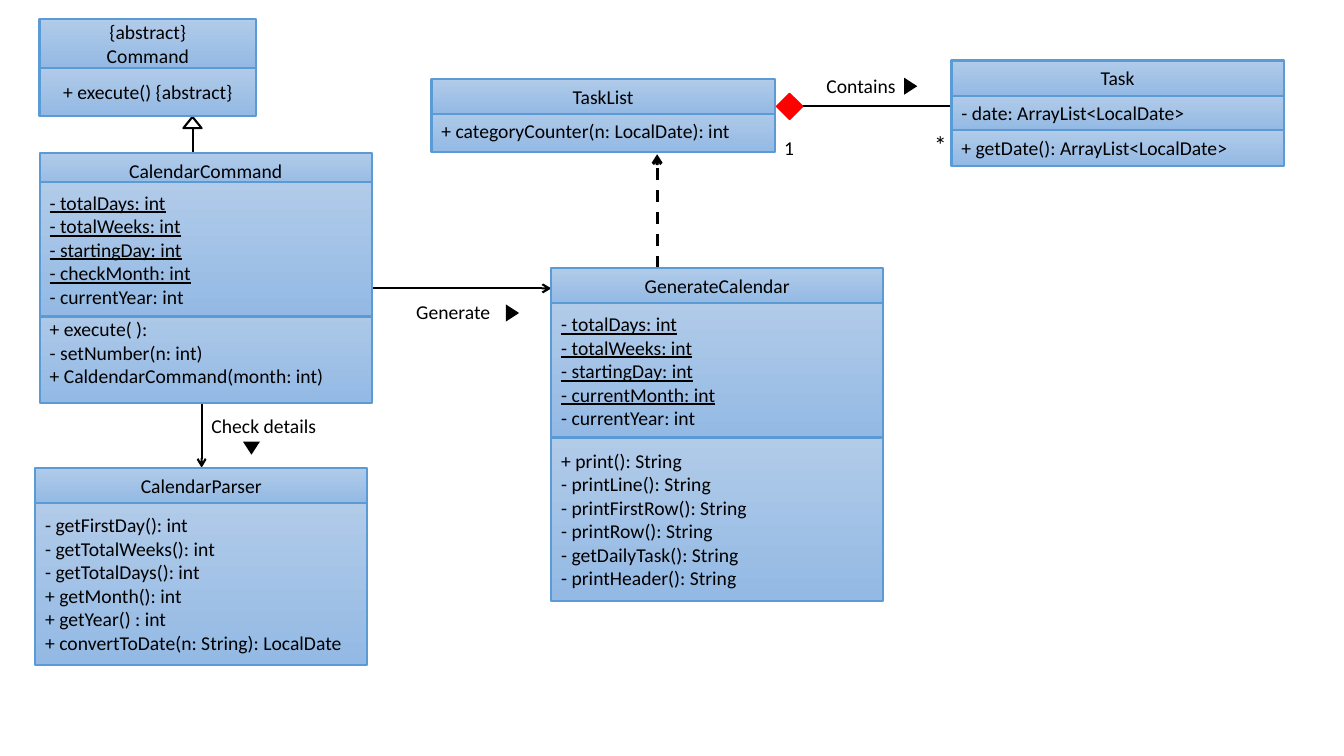
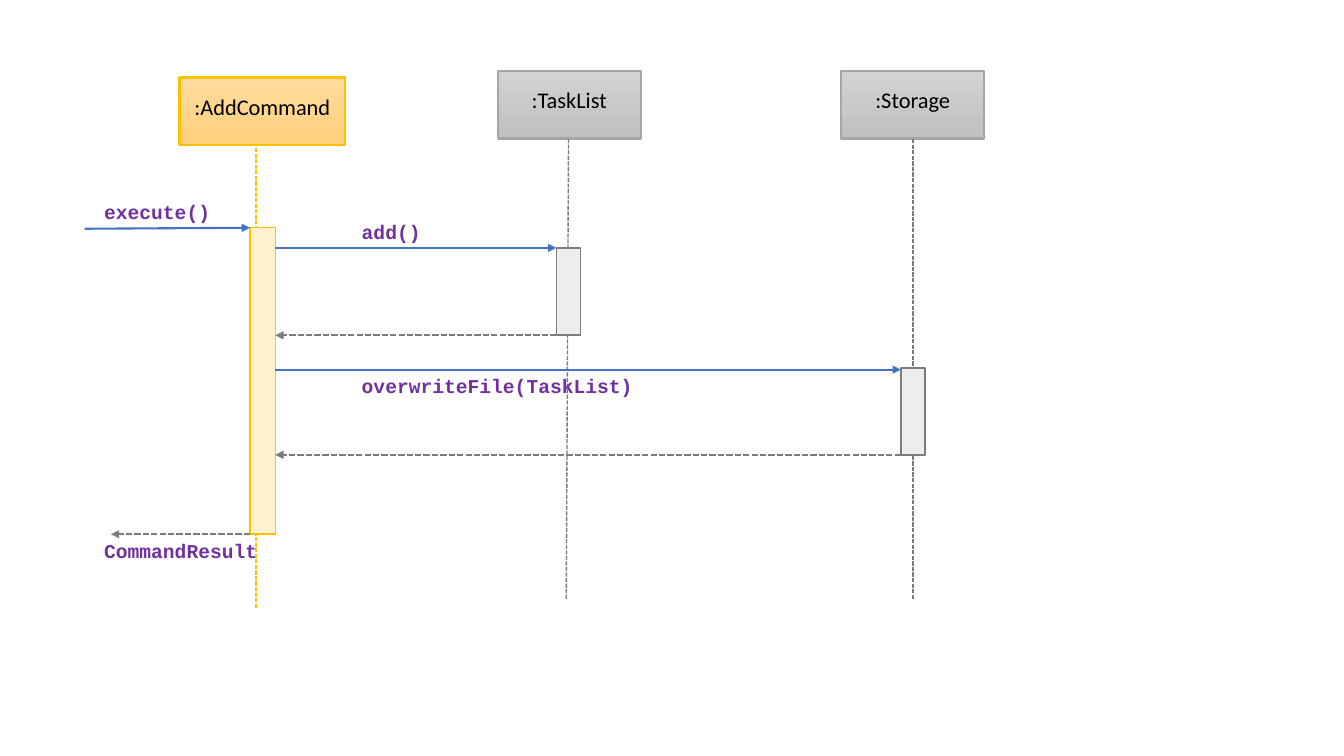
from dataclasses import dataclass
from pptx import Presentation
from pptx.dml.color import RGBColor
from pptx.enum.dml import MSO_LINE as DASH
from pptx.enum.shapes import MSO_CONNECTOR, MSO_SHAPE as SHAPE
from pptx.enum.text import MSO_ANCHOR as ANCHOR, PP_ALIGN as ALIGN
from pptx.oxml.ns import qn
from pptx.util import Pt
from lxml import etree

BLACK = RGBColor(0x00, 0x00, 0x00)
WHITE = RGBColor(0xFF, 0xFF, 0xFF)
RED = RGBColor(0xFF, 0x00, 0x00)
PURPLE = RGBColor(0x70, 0x30, 0xA0)
CALL_BLUE = RGBColor(0x44, 0x72, 0xC4)
DARK_GREY = RGBColor(0x7C, 0x7C, 0x7C)
PALE_GREY = RGBColor(0xED, 0xED, 0xED)
GOLD = RGBColor(0xFF, 0xC0, 0x00)
PALE_GOLD = RGBColor(0xFF, 0xF2, 0xCC)
GREY = RGBColor(0xA5, 0xA5, 0xA5)
BLUE = RGBColor(0x5B, 0x9B, 0xD5)
BLUE_FADE = (RGBColor(0xB1, 0xCB, 0xE9), RGBColor(0x93, 0xB9, 0xE4))
GOLD_FADE = (RGBColor(0xFF, 0xDB, 0x9E), RGBColor(0xFF, 0xD0, 0x7C))
GREY_FADE = (RGBColor(0xD2, 0xD2, 0xD2), RGBColor(0xC0, 0xC0, 0xC0))

BODY = {"name": "Calibri", "size": Pt(14), "color": BLACK}
STATIC = {**BODY, "underline": True}
STAR = {**BODY, "size": Pt(18)}
HEADING = {**BODY, "size": Pt(16)}
CODE = {"name": "Courier New", "size": Pt(14), "color": PURPLE, "bold": True}

CLASS_FRAME = {"vertical_anchor": ANCHOR.MIDDLE, "margin_left": Pt(7.2),
               "margin_right": Pt(7.2), "margin_top": Pt(3.6), "margin_bottom": Pt(3.6)}
HEADING_FRAME = {**CLASS_FRAME, "vertical_anchor": ANCHOR.TOP,
                 "margin_top": Pt(11), "margin_bottom": Pt(11)}
LABEL_FRAME = {**CLASS_FRAME, "vertical_anchor": ANCHOR.TOP}


@dataclass
class Row:
    top: float
    height: float
    lines: list
    align: ALIGN = ALIGN.LEFT
    statics: int = 0


def set_font(font, fmt):
    for key, value in fmt.items():
        if key == "color":
            font.color.rgb = value
        else:
            setattr(font, key, value)


def write(sp, lines, frame, fmt, align=ALIGN.LEFT, statics=0):
    tf = sp.text_frame
    tf.word_wrap = True
    for key, value in frame.items():
        setattr(tf, key, value)
    for i, line in enumerate(lines):
        p = tf.add_paragraph() if i else tf.paragraphs[0]
        p.alignment = align
        r = p.add_run()
        r.text = line
        set_font(r.font, STATIC if i < statics else fmt)


def add_block(s, kind, x, y, w, h, fill, line=None, weight=1.5, rotation=0):
    sp = s.shapes.add_shape(kind, Pt(x), Pt(y), Pt(w), Pt(h))
    sp.shadow.inherit = False
    sp.rotation = rotation
    if isinstance(fill, RGBColor):
        sp.fill.solid()
        sp.fill.fore_color.rgb = fill
    else:
        sp.fill.gradient()
        sp.fill.gradient_angle = 270
        for stop, color in zip(sp.fill.gradient_stops, fill):
            stop.color.rgb = color
    if line is None:
        sp.line.fill.background()
    else:
        sp.line.color.rgb = line
        sp.line.width = Pt(weight)
    return sp


def add_line(s, x1, y1, x2, y2, color=BLACK, weight=1.5, dash=None, arrow=None):
    c = s.shapes.add_connector(MSO_CONNECTOR.STRAIGHT, Pt(x1), Pt(y1), Pt(x2), Pt(y2))
    c.line.color.rgb = color
    c.line.width = Pt(weight)
    if dash:
        c.line.dash_style = dash
    props = c._element.spPr
    if arrow:
        etree.SubElement(props.find(qn("a:ln")), qn("a:tailEnd"), type=arrow)
    etree.SubElement(props, qn("a:effectLst"))


def add_label(s, text, x, y, fmt=BODY, w=125):
    write(s.shapes.add_textbox(Pt(x), Pt(y), Pt(w), Pt(24.5)), [text], LABEL_FRAME, fmt)


def add_direction(s, x, y, rotation):
    add_block(s, SHAPE.ISOSCELES_TRIANGLE, x, y, 12.2, 9.4, BLACK, rotation=rotation)


def add_class(s, x, w, rows):
    for row in rows:
        sp = add_block(s, SHAPE.RECTANGLE, x, row.top, w, row.height, BLUE_FADE, BLUE)
        write(sp, row.lines, CLASS_FRAME, BODY, row.align, row.statics)


def title_row(top, name, height=25.2):
    return Row(top, height, [name], ALIGN.CENTER)


def add_participant(s, name, x, y, w, fade, line):
    sp = add_block(s, SHAPE.RECTANGLE, x, y, w, 48.2, fade, line)
    write(sp, [name], HEADING_FRAME, HEADING, ALIGN.CENTER)


def add_call(s, x1, y1, x2, y2):
    add_line(s, x1, y1, x2, y2, CALL_BLUE, arrow="triangle")


def add_return(s, x1, x2, y):
    add_line(s, x1, y, x2, y, DARK_GREY, dash=DASH.SQUARE_DOT, arrow="triangle")


def build_class_diagram(s):
    add_line(s, 266, 206, 393.8, 206, arrow="arrow")
    add_line(s, 137.8, 118, 137.8, 91.5)
    add_block(s, SHAPE.ISOSCELES_TRIANGLE, 131, 83.5, 13, 8, WHITE, BLACK)
    add_line(s, 144, 266.4, 144, 334.1, arrow="arrow")
    add_line(s, 572.4, 75.8, 679.7, 75.8)
    add_line(s, 469.4, 191.5, 469.4, 110.2, weight=2.25, dash=DASH.DASH, arrow="arrow")

    add_class(s, 28.2, 154.8, [
        Row(13.7, 34.6, ["{abstract}", "Command"], ALIGN.CENTER),
        title_row(48.3, "+ execute() {abstract}", 34.6),
    ])
    add_class(s, 28.4, 237.2, [
        Row(215.3, 72.7, ["+ execute( ):", "- setNumber(n: int)",
                          "+ CaldendarCommand(month: int)"]),
        title_row(109.4, "CalendarCommand"),
        Row(130.3, 95.8, ["- totalDays: int", "- totalWeeks: int", "- startingDay: int",
                          "- checkMonth: int", "- currentYear: int"], statics=4),
    ])
    add_class(s, 25.2, 237.2, [
        Row(358.6, 116.6, ["- getFirstDay(): int", "- getTotalWeeks(): int",
                           "- getTotalDays(): int", "+ getMonth(): int",
                           "+ getYear() : int", "+ convertToDate(n: String): LocalDate"]),
        title_row(334.1, "CalendarParser"),
    ])
    add_class(s, 308.2, 245.2, [
        Row(78.5, 30.4, ["+ categoryCounter(n: LocalDate): int"]),
        title_row(56.2, "TaskList"),
    ])
    add_class(s, 679.7, 237.2, [
        Row(68.2, 25.2, ["- date: ArrayList<LocalDate>"]),
        title_row(43.2, "Task"),
        Row(93.1, 25.2, ["+ getDate(): ArrayList<LocalDate>"]),
    ])
    add_class(s, 393.8, 237.2, [
        Row(216, 97.9, ["- totalDays: int", "- totalWeeks: int", "- startingDay: int",
                        "- currentMonth: int", "- currentYear: int"], statics=4),
        Row(312.5, 116.6, ["+ print(): String", "- printLine(): String",
                           "- printFirstRow(): String", "- printRow(): String",
                           "- getDailyTask(): String", "- printHeader(): String"]),
        title_row(191.5, "GenerateCalendar"),
    ])

    add_block(s, SHAPE.FLOWCHART_DECISION, 555, 67, 18, 18, RED, RED)
    add_label(s, "Check details", 144, 292.3)
    add_label(s, "Generate", 290.2, 211)
    add_label(s, "Contains", 583.2, 49)
    add_label(s, "1", 553, 93.6, w=50)
    add_label(s, "*", 660.2, 88.6, STAR, w=50)
    for x, y, rotation in ((360, 218.9, 90), (173.5, 315.4, 180), (644.4, 56.9, 90)):
        add_direction(s, x, y, rotation)


def build_sequence_diagram(s):
    add_participant(s, ":AddCommand", 128.2, 55.4, 118.4, GOLD_FADE, GOLD)
    add_participant(s, ":TaskList", 355.5, 50.8, 102.2, GREY_FADE, GREY)
    add_participant(s, ":Storage", 600.8, 50.8, 102.2, GREY_FADE, GREY)

    for x1, y1, x2, y2, color in ((183, 105.8, 183, 434.2, GOLD),
                                  (406.1, 99.4, 404.5, 428.4, DARK_GREY),
                                  (652.3, 99.4, 652.3, 428.4, DARK_GREY)):
        add_line(s, x1, y1, x2, y2, color, 1, DASH.SQUARE_DOT)

    for x, y, w, h, fill, line in ((178.6, 162.7, 18, 218.9, PALE_GOLD, GOLD),
                                   (397.4, 177.1, 17.3, 62.2, PALE_GREY, DARK_GREY),
                                   (643.5, 262.8, 17.3, 62.2, PALE_GREY, DARK_GREY)):
        add_block(s, SHAPE.RECTANGLE, x, y, w, h, fill, line, 1)

    add_call(s, 60.5, 163.4, 178.6, 162.7)
    add_call(s, 196.6, 177.1, 397.4, 177.1)
    add_call(s, 196.6, 264, 643.5, 264)
    add_return(s, 397.4, 196.6, 239.5)
    add_return(s, 643.5, 196.6, 324.9)
    add_return(s, 178.6, 79.2, 381.6)

    for text, x, y in (("execute()", 67.3, 139), ("add()", 251.3, 153.4),
                       ("overwriteFile(TaskList)", 251.3, 263.5),
                       ("CommandResult", 67.3, 381.6)):
        add_label(s, text, x, y, CODE, w=215)


def main():
    prs = Presentation()
    prs.slide_width, prs.slide_height = Pt(960), Pt(540)
    for build in (build_class_diagram, build_sequence_diagram):
        build(prs.slides.add_slide(prs.slide_layouts[6]))
    prs.save("out.pptx")


if __name__ == "__main__":
    main()
